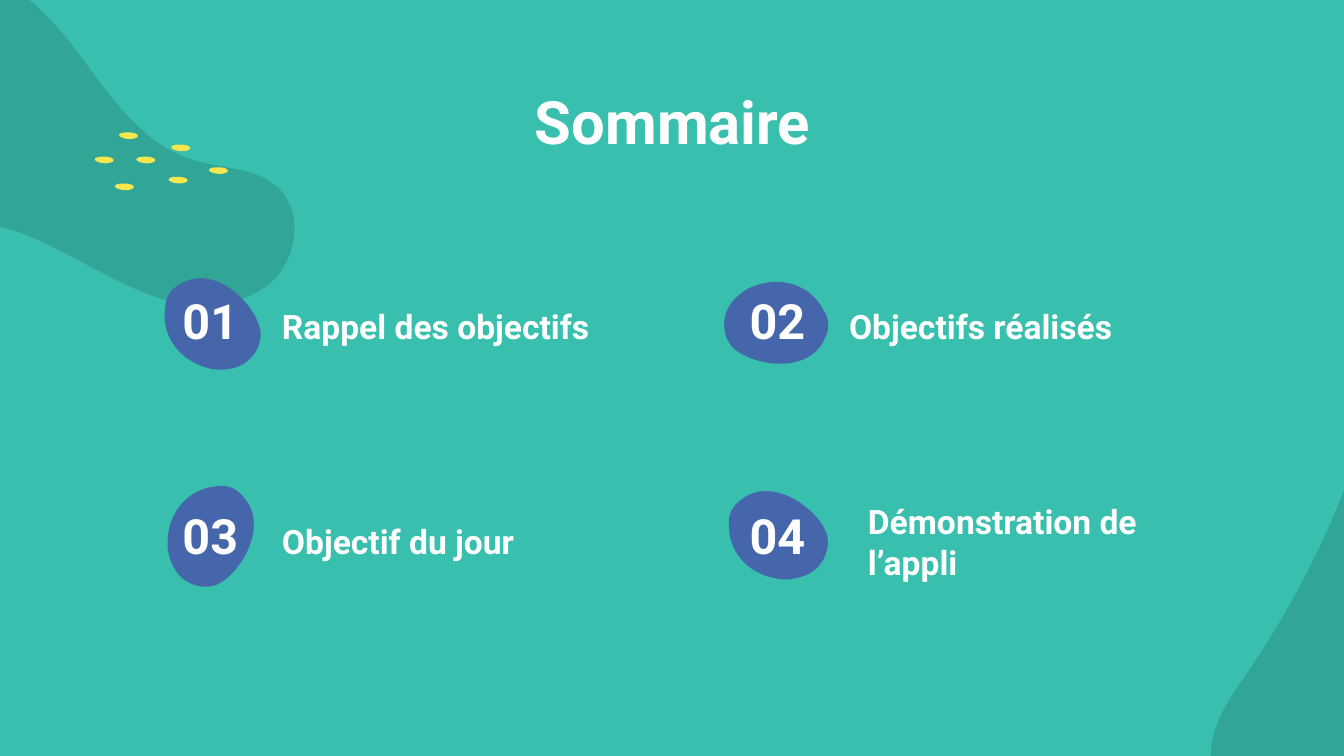
import dataclasses

import lxml.etree
import pptx
import pptx.dml.color
import pptx.enum.text
import pptx.oxml.ns
import pptx.util

Pt = pptx.util.Pt
qn = pptx.oxml.ns.qn
COLORS = {"background": "39BFAD", "wave": "32A696", "dash": "F7E64D",
          "badge": "4666AB", "text": "FFFFFF"}
FONT = "Roboto"


@dataclasses.dataclass(frozen=True)
class Outline:
    """A start point, then segments: (x, y) is a line, six numbers a Bézier curve."""
    start: tuple[float, float]
    segments: tuple[tuple[float, ...], ...]


@dataclasses.dataclass(frozen=True)
class Entry:
    number: str
    label: str
    column: int
    row: int
    badge_rotation: float
    label_indent: float = 54.7


TOP_WAVE = Outline((109.4, 163.4), (
    (103, 163.4, 96.5, 162.7, 90.7, 161.3),
    (72, 156.2, 55.4, 146.2, 38.2, 137.5),
    (20.9, 128.2, 2.9, 119.5, -15.8, 119.5),
    (-18, 119.5),
    (-28.1, 119.5, -40.3, 121, -50.4, 121),
    (-56.2, 121),
    (-56.2, -3.6),
    (-46.1, -10.8, -34.6, -15.1, -23, -15.1),
    (-20.2, -15.1, -18, -15.1, -15.8, -14.4),
    (10.8, -10.8, 29.5, 11.5, 45.4, 33.1),
    (61.2, 54.7, 78.5, 78.5, 103.7, 85.7),
    (118.8, 90.7, 136.8, 89.3, 148.3, 100.1),
    (162.7, 112.3, 159.8, 138.2, 145.4, 151.2),
    (135.4, 159.8, 122.4, 163.4, 109.4, 163.4),
))
CORNER_WAVE = Outline((720, 409.7), (
    (702.7, 418.3, 684, 425.5, 668.9, 423.4),
    (653.8, 420.5, 648.7, 412.6, 648.7, 403.2),
    (648.7, 391.7, 655.9, 378, 663.1, 367.9),
    (685.4, 336.2, 704.2, 302.4, 718.6, 266.4),
    (720, 262.8),
))
DASH = Outline((10.1, 1.9), (
    (10.1, 1, 8.6, 0, 4.3, 0),
    (1.4, 0, 0, 0.7, 0, 1.5),
    (0, 1.7, 0.2, 2, 0.4, 2.2),
    (1.8, 3.2, 4.3, 3.6, 5.8, 3.6),
    (7.9, 3.5, 10.1, 3, 10.1, 1.9),
))
BADGE = Outline((20.9, 0), (
    (17.3, 0, 13, 1.4, 9.4, 3.6),
    (4.3, 6.5, 2.2, 11.5, 2.2, 15.8),
    (0, 27.4, 6.5, 43.2, 25.2, 48.2),
    (27.4, 49, 29.5, 49, 31.7, 49),
    (37.4, 49, 42.5, 47.5, 46.1, 44.6),
    (51.1, 40.3, 53.3, 35.3, 53.3, 29.5),
    (52.6, 18.7, 37.4, 0, 20.9, 0),
))
DASH_POSITIONS = ((91.8, 77.4), (90.4, 94.7), (73.1, 83.9), (63.8, 70.9),
                  (61.6, 98.3), (50.8, 83.9), (112, 89.6))
BADGE_LEFTS = (86.4, 389.5)
BADGE_TOPS = (149, 262.1)
COLUMN_LEFTS = (89.3, 393.1)
ROW_TOPS = (151.9, 267.1)
ENTRIES = (
    Entry("01", "Rappel des objectifs", 0, 0, 0),
    Entry("03", "Objectif du jour", 0, 1, 75),
    Entry("02", "Objectifs réalisés", 1, 0, 143.6),
    Entry("04", "Démonstration de l’appli", 1, 1, 350.8, 64.8),
)


def rgb(color: str) -> pptx.dml.color.RGBColor:
    return pptx.dml.color.RGBColor.from_string(COLORS[color])


def bend_curves(shape, outline: Outline) -> None:
    """Turn each three lines that stand for a curve's points into one Bézier curve."""
    lines = iter(list(shape.element.iter(qn("a:lnTo"))))
    for segment in outline.segments:
        first = next(lines)
        if len(segment) == 2:
            continue
        curve = lxml.etree.Element(qn("a:cubicBezTo"))
        first.addprevious(curve)
        for line in (first, next(lines), next(lines)):
            curve.append(line[0])
            line.getparent().remove(line)


def add_outline(shapes, outline: Outline, color: str,
                offset: tuple[float, float] = (0, 0)):
    points = [outline.start]
    for segment in outline.segments:
        points.extend(zip(segment[::2], segment[1::2]))
    points = [(Pt(x + offset[0]), Pt(y + offset[1])) for x, y in points]
    builder = shapes.build_freeform(*points[0])
    builder.add_line_segments(points[1:], close=True)
    shape = builder.convert_to_shape()
    bend_curves(shape, outline)
    shape.shadow.inherit = False
    shape.fill.solid()
    shape.fill.fore_color.rgb = rgb(color)
    shape.line.fill.background()
    return shape


def add_text(shapes, text: str, left: float, top: float, width: float, height: float,
             size: float, centered: bool = True) -> None:
    box = shapes.add_textbox(Pt(left), Pt(top), Pt(width), Pt(height))
    frame = box.text_frame
    frame.word_wrap = True
    frame.vertical_anchor = pptx.enum.text.MSO_ANCHOR.MIDDLE
    frame.margin_left = frame.margin_right = Pt(7.2)
    frame.margin_top = frame.margin_bottom = Pt(7.2)
    para = frame.paragraphs[0]
    para.text = text
    alignments = pptx.enum.text.PP_ALIGN
    para.alignment = alignments.CENTER if centered else alignments.LEFT
    para.font.name = FONT
    para.font.size = Pt(size)
    para.font.bold = True
    para.font.color.rgb = rgb("text")


def main() -> None:
    deck = pptx.Presentation()
    deck.slide_width, deck.slide_height = Pt(720), Pt(405)
    page = deck.slides.add_slide(deck.slide_layouts[6])
    page.background.fill.solid()
    page.background.fill.fore_color.rgb = rgb("background")

    for wave in (TOP_WAVE, CORNER_WAVE):
        add_outline(page.shapes, wave, "wave")
    dashes = page.shapes.add_group_shape()
    for position in DASH_POSITIONS:
        add_outline(dashes.shapes, DASH, "dash", position)
    for entry in ENTRIES:
        corner = (BADGE_LEFTS[entry.column], BADGE_TOPS[entry.row])
        badge = add_outline(page.shapes, BADGE, "badge", corner)
        badge.rotation = entry.badge_rotation

    add_text(page.shapes, "Sommaire", 56.9, 42.5, 607, 43.9, 32)
    for entry in ENTRIES:
        left, top = COLUMN_LEFTS[entry.column], ROW_TOPS[entry.row]
        add_text(page.shapes, entry.label, left + entry.label_indent, top,
                 190.1, 46.1, 18, centered=False)
        add_text(page.shapes, entry.number, left, top, 46.8, 38.9, 26)

    deck.save("out.pptx")


if __name__ == "__main__":
    main()
